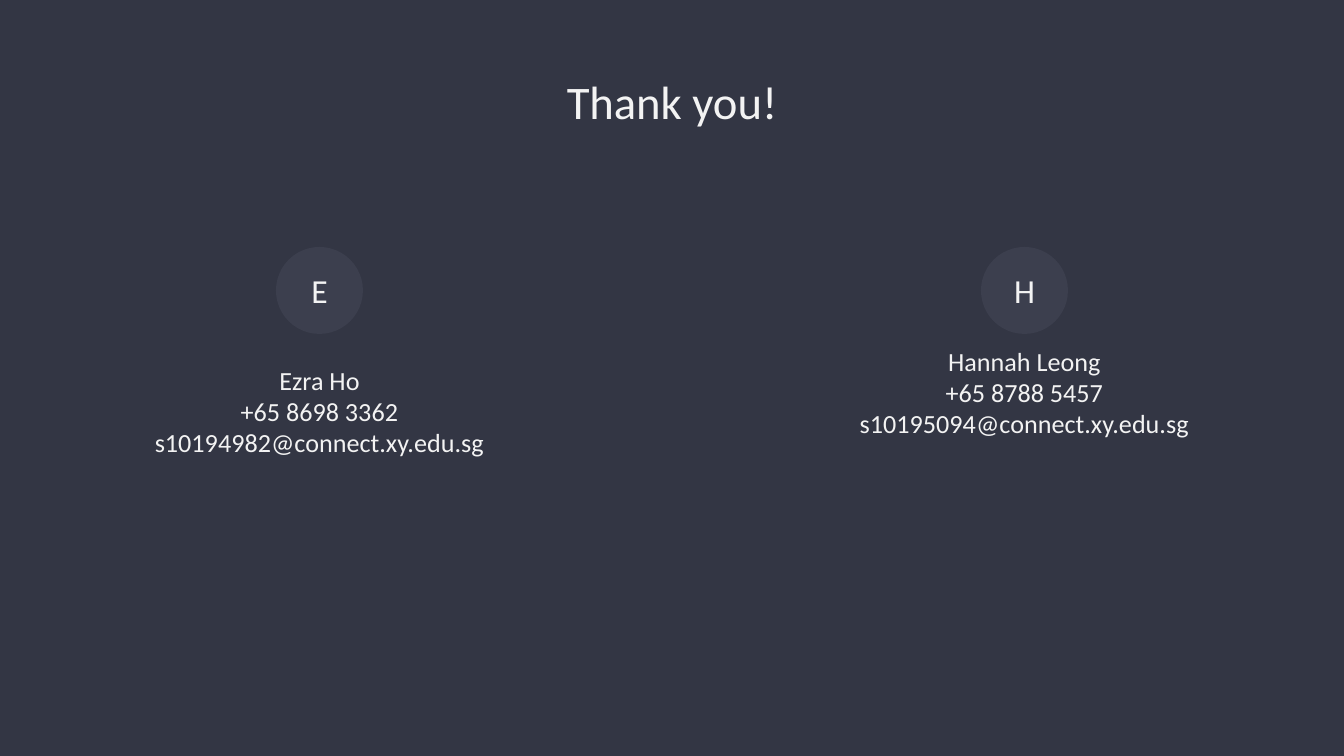
from dataclasses import dataclass

from pptx import Presentation
from pptx.dml.color import RGBColor
from pptx.enum.shapes import MSO_SHAPE
from pptx.enum.text import MSO_ANCHOR, PP_ALIGN
from pptx.util import Pt

PX = 914400 / 134.4


@dataclass(frozen=True)
class Theme:
    font: str = "Calibri"
    background: str = "333644"
    badge: str = "3C3F4E"
    text: str = "F3F3F3"
    title_size: int = 25
    initial_size: int = 18
    body_size: int = 14


THEME = Theme()


def px(*lengths):
    return [round(n * PX) for n in lengths]


def write_text(sp, lines, size, anchor=MSO_ANCHOR.TOP, color=THEME.text):
    tf = sp.text_frame
    tf.word_wrap = True
    tf.vertical_anchor = anchor
    tf.margin_left = tf.margin_right = tf.margin_top = tf.margin_bottom = px(13)[0]
    for i, line in enumerate(lines):
        p = tf.add_paragraph() if i else tf.paragraphs[0]
        p.alignment = PP_ALIGN.CENTER
        r = p.add_run()
        r.text = line
        r.font.name = THEME.font
        r.font.size = Pt(size)
        r.font.color.rgb = RGBColor.from_string(color)


def add_title(s, text, x, y, w, h):
    sp = s.shapes.title
    sp.left, sp.top, sp.width, sp.height = px(x, y, w, h)
    write_text(sp, [text], THEME.title_size)


def add_contact(s, x, y, w, details, details_top):
    """Place a round badge with the first initial above centred contact details."""
    badge_size, label_w, label_h = 87, 290, 46
    center = x + w / 2
    badge = s.shapes.add_shape(
        MSO_SHAPE.OVAL, *px(center - badge_size / 2, y, badge_size, badge_size))
    badge.shadow.inherit = False
    badge.fill.solid()
    badge.fill.fore_color.rgb = RGBColor.from_string(THEME.badge)
    badge.line.fill.background()

    label_y = y + (badge_size - label_h) / 2
    initial = s.shapes.add_textbox(*px(center - label_w / 2, label_y, label_w, label_h))
    write_text(initial, details[0][0], THEME.initial_size, anchor=MSO_ANCHOR.MIDDLE)

    body = s.shapes.add_textbox(*px(x, y + details_top, w, 142))
    write_text(body, details, THEME.body_size)


def main():
    prs = Presentation()
    prs.slide_width, prs.slide_height = px(1344, 756)
    s = prs.slides.add_slide(prs.slide_layouts[5])
    s.background.fill.solid()
    s.background.fill.fore_color.rgb = RGBColor.from_string(THEME.background)

    add_title(s, "Thank you!", 175, 60, 994, 97)
    add_contact(s, 103, 247, 433,
                ["Ezra Ho", "+65 8698 3362", "s10194982@connect.xy.edu.sg"],
                details_top=104)
    add_contact(s, 808, 247, 433,
                ["Hannah Leong", "+65 8788 5457", "s10195094@connect.xy.edu.sg"],
                details_top=85)
    prs.save("out.pptx")


if __name__ == "__main__":
    main()
